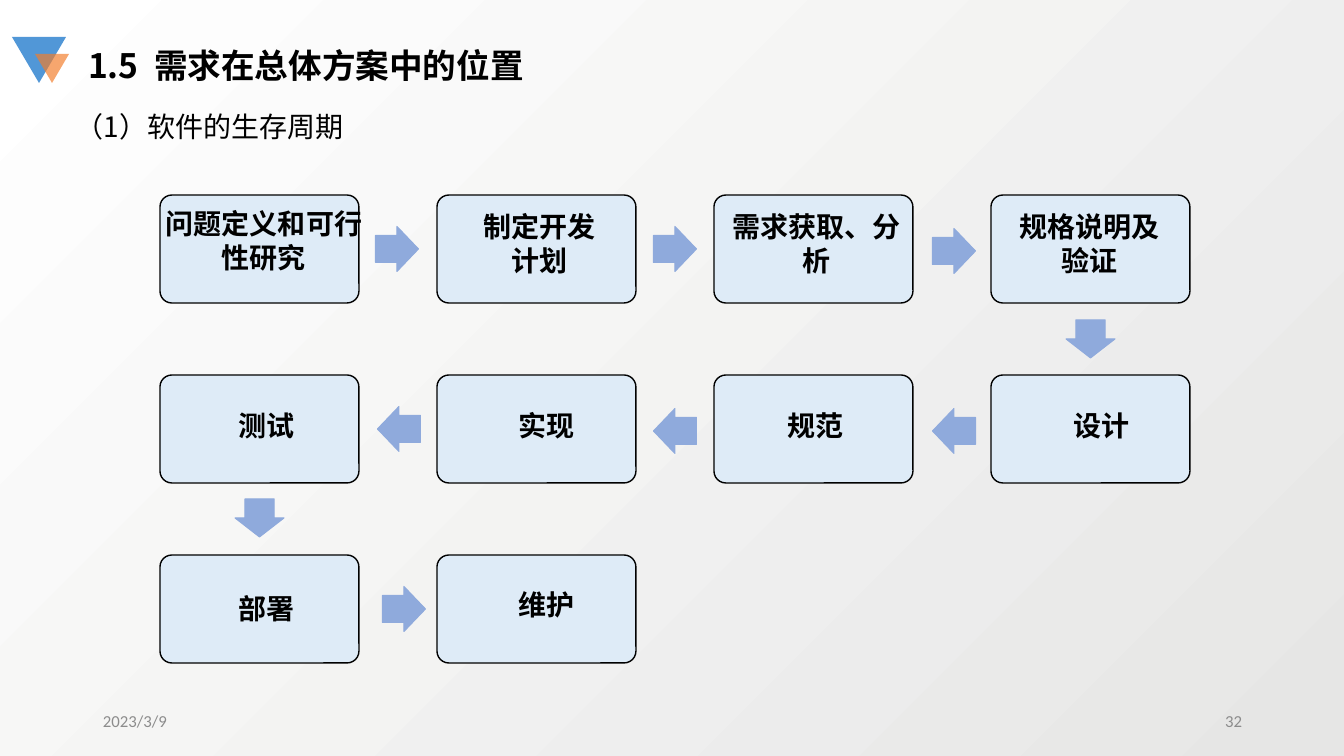
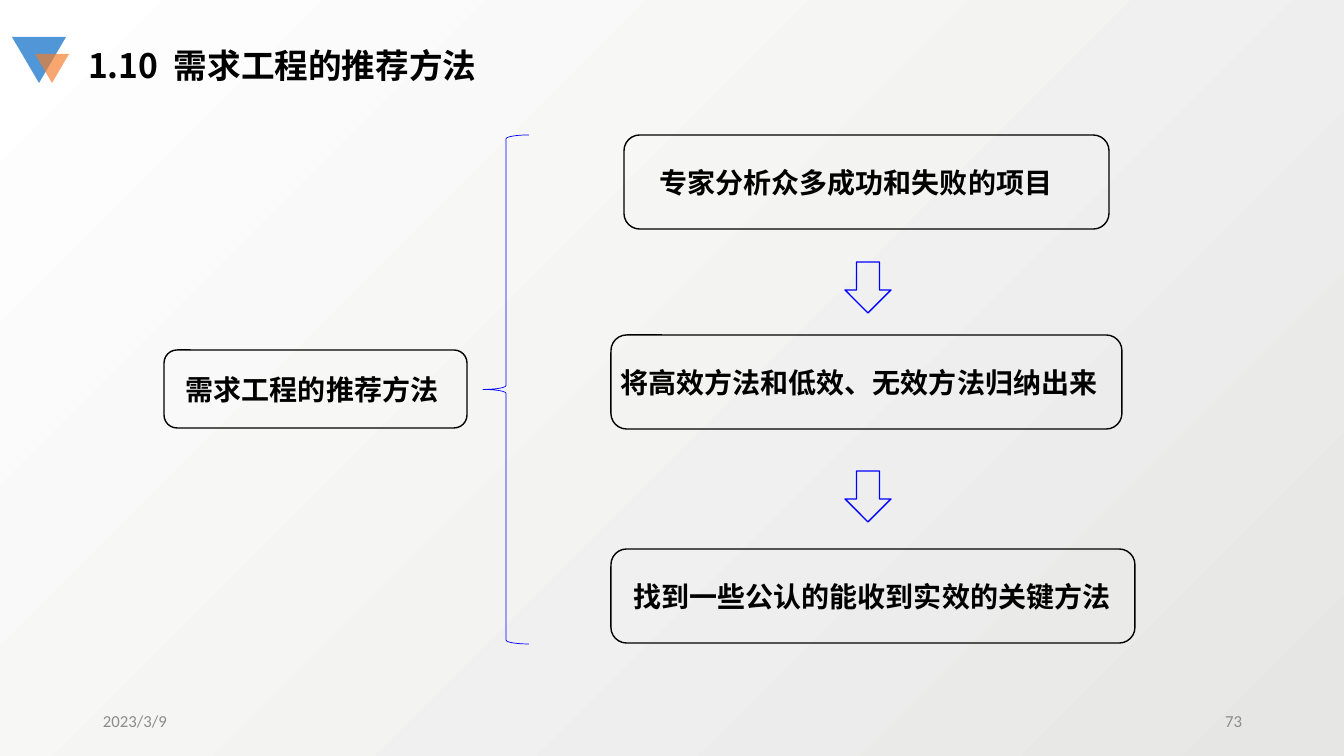
from pptx import Presentation
from pptx import util as u
from pptx.dml.color import RGBColor
from pptx.enum import shapes as sh, text as tx
from lxml import etree

SCALE = 914400 / 100.8  # EMU in one px
COLORS = {"ink": "000000", "note": "8C8C8C", "box": "DEEBF7", "arrow": "8FAADC",
          "blue": "0000FF", "sky": "5197D7", "orange": "F37D2A",
          "grey": "E6E6E5", "white": "FFFFFF"}
KIND = sh.MSO_SHAPE
SANS, BODY = "Noto Sans CJK SC", "Calibri"
LEFT, MID, RIGHT = tx.PP_ALIGN.LEFT, tx.PP_ALIGN.CENTER, tx.PP_ALIGN.RIGHT
TOP, HALF = tx.MSO_ANCHOR.TOP, tx.MSO_ANCHOR.MIDDLE
DATE = "2023/3/9"

# label, text offset x and y in its box, text width, shift of the arrow after it
STEPS = [
    ("问题定义和可行性研究", -11, 7, 230, (-1, 0)),
    ("制定开发计划", 28, 10, 150, (0, 0)),
    ("需求获取、分析", 3, 10, 199, (2, 2)),
    ("规格说明及验证", 9, 10, 180, (0, 0)),
    ("设计", 51, 29, 119, (2, 2)),
    ("规范", 42, 29, 119, (0, 2)),
    ("实现", 50, 29, 119, (1, 0)),
    ("测试", 47, 29, 119, (0, -1)),
    ("部署", 47, 32, 119, (6, 0)),
    ("维护", 50, 28, 119, None),
]

# label, left and top in the region, width, left inset
METHODS = [
    ("专家分析众多成功和失败的项目", 13, 0, 485, 31),
    ("将高效方法和低效、无效方法归纳出来", 0, 200, 511, 5),
    ("找到一些公认的能收到实效的关键方法", 0, 414, 524, 18),
]


def px(n):
    return u.Emu(round(n * SCALE))


def rgb(name):
    return RGBColor.from_string(COLORS[name])


def style(par, size, color="ink", bold=False, face=BODY, align=LEFT):
    par.alignment = align
    font = par.font
    font.size, font.bold, font.name = u.Pt(size), bold, face
    font.color.rgb = rgb(color)


def shape(parent, kind, x, y, w, h, fill=None, line=None, width=1, adj=()):
    item = parent.shapes.add_shape(kind, px(x), px(y), px(w), px(h))
    item.shadow.inherit = False
    if fill:
        item.fill.solid()
        item.fill.fore_color.rgb = rgb(fill)
    else:
        item.fill.background()
    if line:
        item.line.color.rgb = rgb(line)
        item.line.width = u.Pt(width)
    else:
        item.line.fill.background()
    for i, value in enumerate(adj):
        item.adjustments[i] = value
    return item


def label(parent, text, x, y, w, h, size=20, anchor=TOP, **look):
    item = parent.shapes.add_textbox(px(x), px(y), px(w), px(h))
    frame = item.text_frame
    frame.word_wrap, frame.vertical_anchor = True, anchor
    frame.text = text
    style(frame.paragraphs[0], size, **look)


def ground(master):
    fill = master.background.fill
    fill.gradient()
    fill.gradient_angle = 135
    for stop, name, pos in zip(fill.gradient_stops, ("grey", "white"), (0, 1)):
        stop.color.rgb, stop.position = rgb(name), pos


def mark(slide, x, y):
    # Two triangles pointing down, the front one see-through
    pair = slide.shapes.add_group_shape()
    back = shape(pair, KIND.ISOSCELES_TRIANGLE, x, y, 54, 46, "sky")
    front = shape(pair, KIND.ISOSCELES_TRIANGLE, x + 23, y + 17, 34, 29, "orange")
    back.rotation = front.rotation = 180
    tint = front.fill._xPr.find(".//{*}srgbClr")
    etree.SubElement(tint, tint.tag.replace("srgbClr", "alpha"), val="68000")


def head(slide, number, text, x, y, w, h):
    title = slide.shapes.title
    title.left, title.top, title.width, title.height = map(px, (x, y, w, h))
    frame = title.text_frame
    frame.auto_size = tx.MSO_AUTO_SIZE.NONE
    frame.vertical_anchor = TOP
    par = frame.paragraphs[0]
    style(par, 24, bold=True, face=SANS)
    for part in (number, " ", text):
        run = par.add_run()
        run.text = part
        if part == " ":  # widen the gap after the number
            run._r.get_or_add_rPr().set("spc", "560")


def foot(slide, page, x, y, w, h):
    look = dict(size=12, anchor=HALF, color="note")
    label(slide, DATE, x, y, 302, h, **look)
    label(slide, page, x + w - 302, y, 302, h, align=RIGHT, **look)


def base(deck, number, text, page):
    slide = deck.slides.add_slide(deck.slide_layouts[5])
    mark(slide, 12, 37)
    head(slide, number, text, 78, 40, 529, 50)
    foot(slide, page, 93, 701, 1159, 40)
    return slide


def cycle(slide, x, y, w, h):
    # Winding chain of steps: four columns, every second row runs backwards
    cols, wide, high = 4, 199, 108
    dx, dy = (w - wide) / (cols - 1), (h - high) / 2

    def centre(i):
        row, col = divmod(i, cols)
        if row % 2:
            col = cols - 1 - col
        return x + col * dx + wide / 2, y + row * dy + high / 2

    for i, (text, left, top, width, shift) in enumerate(STEPS):
        cx, cy = centre(i)
        bx, by = cx - wide / 2, cy - high / 2
        step = slide.shapes.add_group_shape()
        shape(step, KIND.ROUNDED_RECTANGLE, bx, by, wide, high, "box", "ink", adj=[0.11])
        label(step, text, bx + left, by + top, width, 44, bold=True, align=MID)
        if shift is None:
            continue
        # Arrow halfway to the next step
        nx, ny = centre(i + 1)
        if ny > cy:
            kind, aw, ah = KIND.DOWN_ARROW, 49, 38
        else:
            kind = KIND.RIGHT_ARROW if nx > cx else KIND.LEFT_ARROW
            aw, ah = 43, 45
        shape(slide, kind, (cx + nx - aw) / 2 + shift[0], (cy + ny - ah) / 2 + shift[1],
              aw, ah, "arrow", "arrow", 0.75, [0.6, 0.5])


def card(slide, text, x, y, w, h, inset):
    item = shape(slide, KIND.ROUNDED_RECTANGLE, x, y, w, h, line="ink")
    frame = item.text_frame
    frame.word_wrap, frame.vertical_anchor = True, HALF
    frame.margin_left, frame.margin_right = px(inset), 0
    frame.text = text
    style(frame.paragraphs[0], 20, bold=True)


def tree(slide, x, y, h):
    # Topic, brace, and the column of methods
    card(slide, "需求工程的推荐方法", x, y + 215, 303, 78, 18)
    shape(slide, KIND.LEFT_BRACE, x + 319, y, 46, h, line="blue", width=0.5)
    for text, left, top, w, inset in METHODS:
        card(slide, text, x + 447 + left, y + top, w, 94, inset)
    for top in (127, 336):
        shape(slide, KIND.DOWN_ARROW, x + 681, y + top, 46, 51, line="blue")


def main():
    deck = Presentation()
    deck.slide_width, deck.slide_height = px(1344), px(756)
    ground(deck.slide_master)

    life = base(deck, "1.5", "需求在总体方案中的位置", "32")
    label(life, "（1）软件的生存周期", 66, 105, 943, 44, face=SANS)
    cycle(life, 160, 195, 1030, 468)

    advice = base(deck, "1.10", "需求工程的推荐方法", "73")
    tree(advice, 164, 135, 509)

    deck.save("out.pptx")


if __name__ == "__main__":
    main()
